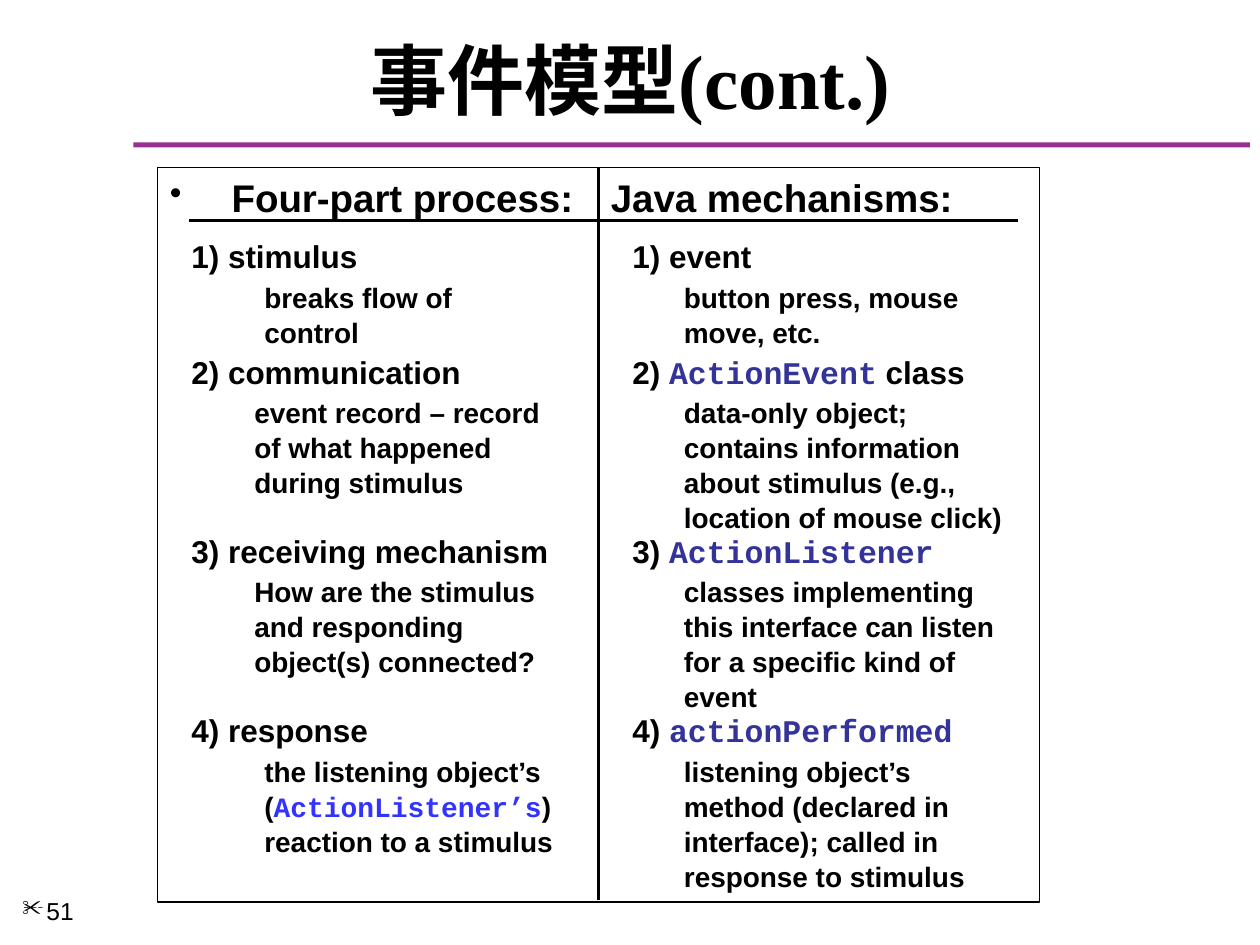
from pptx import Presentation
from pptx.dml.color import RGBColor
from pptx.enum.shapes import MSO_CONNECTOR, MSO_SHAPE
from pptx.enum.text import MSO_ANCHOR, PP_ALIGN
from pptx.oxml.ns import qn
from pptx.util import Inches, Pt
from lxml.etree import SubElement

BLACK, PURPLE, NAVY, BLUE = "000000", "973095", "333399", "3333FF"


def color(value):
    return RGBColor.from_string(value)


class SlideBuilder:
    sans, mono, serif = "Arial", "Courier New", "Times New Roman"

    def __init__(self, presentation):
        self.slide = presentation.slides.add_slide(presentation.slide_layouts[5])

    def style(self, run, size, font, value=BLACK, bold=True):
        run.font.size, run.font.name, run.font.bold = Pt(size), font, bold
        run.font.color.rgb = color(value)

    def title(self, text, left, top, width, height):
        title = self.slide.shapes.title
        title.left, title.top = Inches(left), Inches(top)
        title.width, title.height = Inches(width), Inches(height)
        frame = title.text_frame
        frame.text = text
        frame.vertical_anchor = MSO_ANCHOR.MIDDLE
        frame.paragraphs[0].alignment = PP_ALIGN.CENTER
        self.style(frame.paragraphs[0].runs[0], 44, self.serif)

    def rectangle(self, left, top, width, height, fill=None, line=None):
        box = self.slide.shapes.add_shape(
            MSO_SHAPE.RECTANGLE, Inches(left), Inches(top), Inches(width), Inches(height))
        box.shadow.inherit = False
        if fill:
            box.fill.solid()
            box.fill.fore_color.rgb = color(fill)
        else:
            box.fill.background()
        if line:
            box.line.color.rgb = color(line)
            box.line.width = Pt(0.75)
        else:
            box.line.fill.background()

    def rule(self, x1, y1, x2, y2):
        rule = self.slide.shapes.add_connector(
            MSO_CONNECTOR.STRAIGHT, Inches(x1), Inches(y1), Inches(x2), Inches(y2))
        rule.line.color.rgb = color(BLACK)
        rule.line.width = Pt(1.25)
        SubElement(rule._element.spPr, qn("a:effectLst"))

    def text(self, parts, left, top, width, height, size,
             bold=True, bullet=None, hang=0, code=NAVY, spacing=None):
        """Parts alternate between plain text and code, plain text first."""
        box = self.slide.shapes.add_textbox(
            Inches(left), Inches(top), Inches(width), Inches(height))
        box.text_frame.word_wrap = True
        paragraph = box.text_frame.paragraphs[0]
        if spacing:
            paragraph.line_spacing = spacing
        if bullet:
            properties = paragraph._p.get_or_add_pPr()
            properties.set("marL", str(Inches(hang)))
            properties.set("indent", str(-Inches(hang)))
            SubElement(properties, qn("a:buSzPct")).set("val", "90000")
            SubElement(properties, qn("a:buChar")).set("char", bullet)
        for index, part in enumerate(parts):
            run = paragraph.add_run()
            run.text = part
            if index % 2:
                self.style(run, size, self.mono, code, bold)
            else:
                self.style(run, size, self.sans, BLACK, bold)


STEP_TOPS = [1.83, 2.75, 4.17, 5.59]
DETAIL_TOPS = [2.17, 3.08, 4.5, 5.93]

# Each entry: step heading, detail text, detail left, detail width
PROCESS = [
    (["1) stimulus"], ["breaks flow of control"], 2, 2.33),
    (["2) communication"],
     ["event record – record of what happened during stimulus"], 1.92, 2.67),
    (["3) receiving mechanism"],
     ["How are the stimulus and responding object(s) connected?"], 1.92, 2.67),
    (["4) response"],
     ["the listening object’s (", "ActionListener’s", ") reaction to a stimulus"], 2, 2.5),
]
MECHANISMS = [
    (["1) event"], ["button press, mouse move, etc."], 5.33, 2.67),
    (["2) ", "ActionEvent", " class"],
     ["data-only object; contains information about stimulus "
      "(e.g., location of mouse click)"], 5.33, 2.75),
    (["3) ", "ActionListener"],
     ["classes implementing this interface can listen for a specific kind of event"],
     5.33, 2.67),
    (["4) ", "actionPerformed"],
     ["listening object’s method (declared in interface); "
      "called in response to stimulus"], 5.33, 2.83),
]


def main():
    presentation = Presentation()
    presentation.slide_width, presentation.slide_height = Inches(10), Inches(7.5)
    builder = SlideBuilder(presentation)

    builder.rectangle(1.06, 1.13, 8.86, 0.04, fill=PURPLE)
    builder.title("事件模型(cont.)", 0.17, 0.25, 9.67, 0.75)
    builder.text(["51"], 0.08, 7.06, 1.08, 0.44, 14, bold=False, bullet="✂", hang=0.19)

    builder.text(["Four-part process:"], 1.25, 1.33, 6.58, 0.9, 22, bullet="•", hang=0.49)
    builder.text(["Java mechanisms:"], 4.75, 1.33, 3.17, 0.47, 22)
    builder.rule(4.75, 1.33, 4.75, 7.14)
    builder.rule(1.5, 1.75, 8.08, 1.75)

    for column_left, steps in ((1.42, PROCESS), (4.92, MECHANISMS)):
        for step_top, detail_top, step in zip(STEP_TOPS, DETAIL_TOPS, steps):
            heading, detail, detail_left, detail_width = step
            builder.text(heading, column_left, step_top, 3.33, 0.4, 18)
            builder.text(detail, detail_left, detail_top, detail_width, 1.18, 16,
                         code=BLUE, spacing=1.04)

    builder.rectangle(1.25, 1.33, 7, 5.83, line=BLACK)
    presentation.save("out.pptx")


if __name__ == "__main__":
    main()
